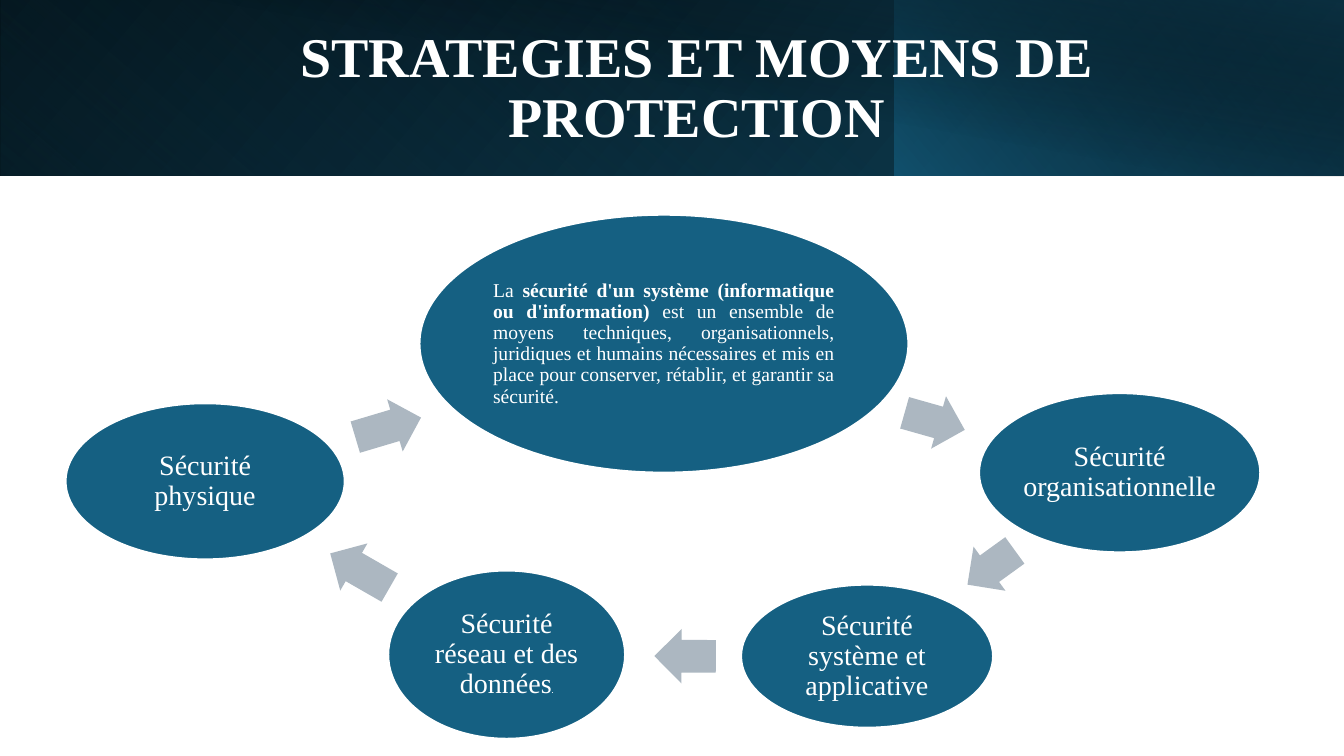
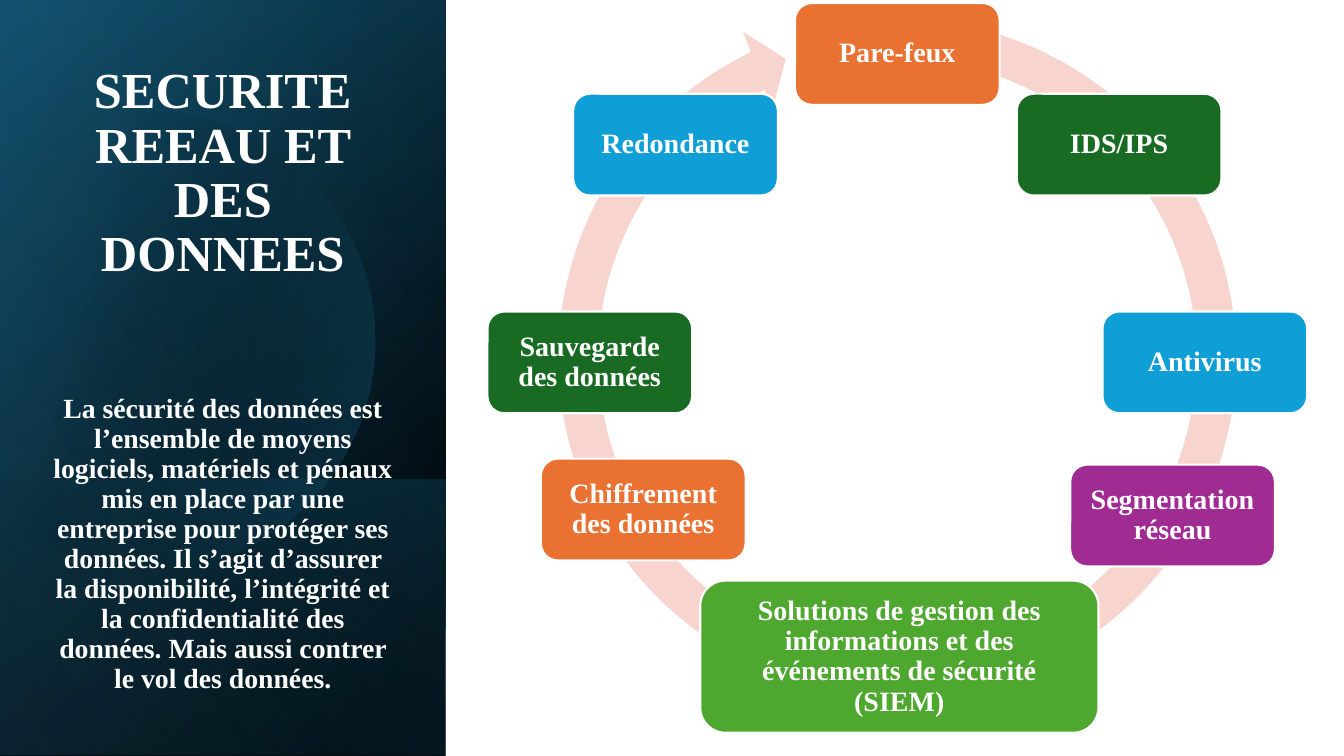
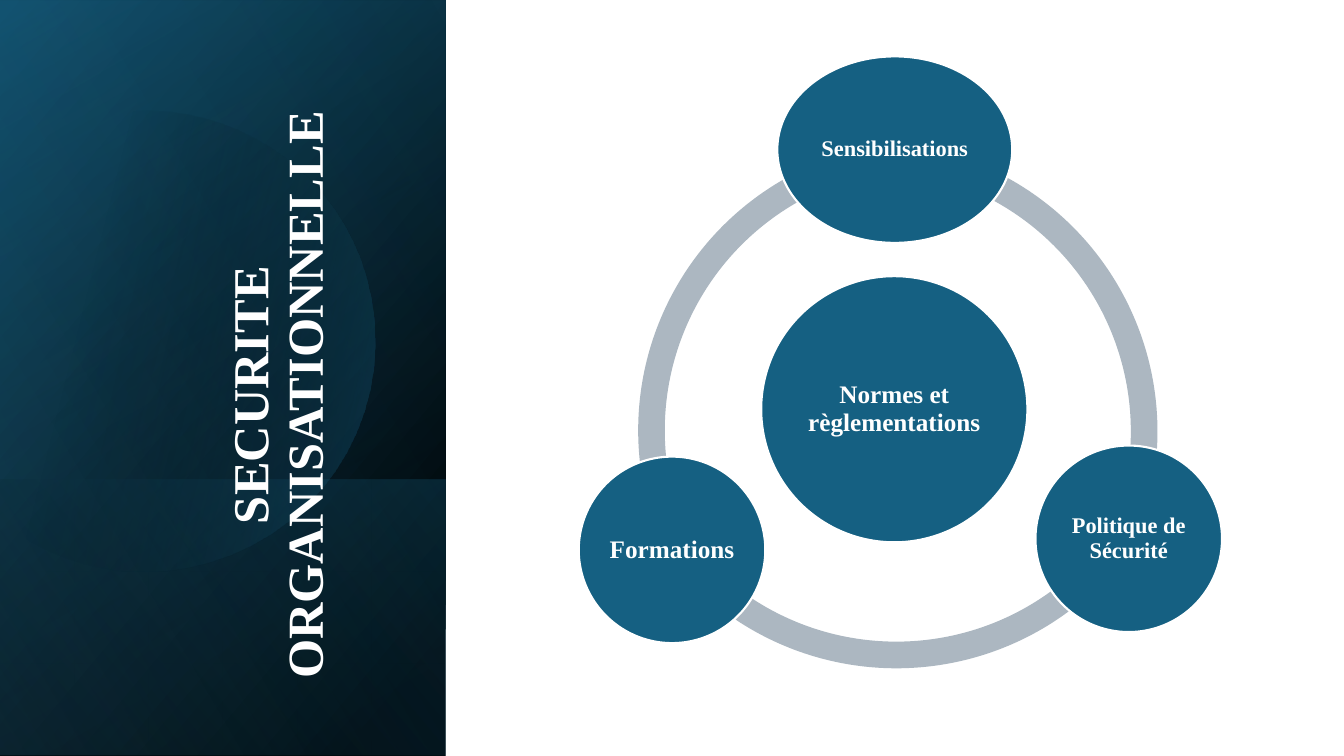
"""Build three slides on strategies for protecting information systems."""
from dataclasses import dataclass

from pptx import Presentation
from pptx.dml.color import RGBColor
from pptx.enum.shapes import MSO_SHAPE
from pptx.enum.text import MSO_ANCHOR, MSO_AUTO_SIZE, PP_ALIGN
from pptx.oxml import parse_xml
from pptx.oxml.ns import nsdecls, qn
from pptx.util import Inches, Pt


@dataclass(frozen=True)
class Theme:
    font: str = "Times New Roman"
    accent_font: str = "Karla"
    white: str = "FFFFFF"
    black: str = "000000"
    navy: str = "104862"
    deep: str = "0B3041"
    blue: str = "156082"
    sky: str = "46B1E1"
    grey: str = "ACB7C1"
    blush: str = "F7D5CE"
    orange: str = "E97132"
    green: str = "196B24"
    cyan: str = "0F9ED5"
    purple: str = "A02B93"
    lime: str = "4EA72E"
    title: float = 40
    side_title: float = 36
    body: float = 19.8
    label: float = 20
    medium: float = 18
    small: float = 16
    note: float = 14
    dot: float = 5
    outline: float = 1.5
    line_spacing: float = 0.9


T = Theme()

TOP_BANDS = [
    ((0, 0, 13.33, 1.74), 0, True, 140, [(0, T.black, 100), (100, T.navy, 100)]),
    ((0, 0, 8.88, 1.74), 180, True, 230, [(20, T.blue, 0), (100, T.deep, 55)]),
    ((8.87, 0, 4.46, 1.74), 0, True, 220, [(0, T.blue, 66), (100, T.black, 30)]),
    ((0.5, 0, 12.83, 1.75), 0, False, 280, [(50, T.black, 0), (99, T.deep, 52)]),
]
SIDE_BANDS = [
    ((-1.54, 1.54, 7.5, 4.42), 90, True, 50, [(8, T.black, 100), (100, T.navy, 100)]),
    ((-1.54, 1.55, 7.5, 4.42), 90, True, 30, [(0, T.black, 0), (99, T.blue, 46)]),
    ((0.84, 3.92, 2.74, 4.42), 90, True, 130, [(2, T.blue, 29), (100, T.black, 30)]),
]
SIDE_GLOSS = ((-1.54, 1.53, 7.5, 4.42), 90, True, 120, [(0, T.black, 0), (99, T.sky, 11)])
DISC_START = (1.49, 1.1)
DISC_CURVES = [
    [(2.46, 1.12), (3.35, 1.77), (3.63, 2.75)],
    [(3.98, 3.97), (3.28, 5.23), (2.07, 5.58)],
    [(1.31, 5.8), (0.53, 5.61), (-0.03, 5.14)],
    [(-0.15, 5.03)],
    [(-0.15, 1.75)],
    [(0, 1.61)],
    [(0.23, 1.42), (0.5, 1.28), (0.8, 1.19)],
    [(1.03, 1.13), (1.26, 1.1), (1.49, 1.1)],
]
DISC_STOPS = [(29, T.black, 0), (100, T.blue, 43)]
DISC_ANGLE = 14

DEFINITION = [
    ("La ", {}),
    ("sécurité d'un système (informatique ou d'information)", {"bold": True}),
    (" est un ensemble de moyens techniques, organisationnels, juridiques et humains "
     "nécessaires et mis en place pour conserver, rétablir, et garantir sa sécurité.", {}),
]
NETWORK = [
    ("Sécurité réseau et des données", {}),
    (".", {"size": Pt(T.dot), "name": T.accent_font, "bold": True}),
]
STRATEGIES = [
    ((9.71, 3.9, 2.79, 1.58), [("Sécurité organisationnelle", {})]),
    ((7.35, 5.8, 2.5, 1.42), [("Sécurité système et applicative", {})]),
    ((3.85, 5.66, 2.35, 1.67), NETWORK),
    ((0.65, 4, 2.77, 1.55), [("Sécurité physique", {})]),
]
ARROWS = [
    ((8.96, 3.91, 0.62, 0.54), 15.8),
    ((9.54, 5.36, 0.58, 0.54), 144.1),
    ((6.49, 6.24, 0.61, 0.54), 180.3),
    ((3.23, 5.39, 0.68, 0.54), 209.9),
    ((3.51, 3.97, 0.68, 0.54), 343.4),
]

DATA_SUMMARY = (
    "La sécurité des données est l’ensemble de moyens logiciels, matériels et pénaux mis en "
    "place par une entreprise pour protéger ses données. Il s’agit d’assurer la disponibilité, "
    "l’intégrité et la confidentialité des données. Mais aussi contrer le vol des données.")
CYCLE_CENTRE = 8.9
BOX = (2.03, 1.01)
WIDE_BOX = (3.95, 1.51)
MEASURES = [
    ("Pare-feux", 0, 0.03, BOX, T.orange),
    ("IDS/IPS", 2.2, 0.93, BOX, T.green),
    ("Antivirus", 3.05, 3.09, BOX, T.cyan),
    ("Segmentation réseau", 2.73, 4.61, BOX, T.purple),
    ("Solutions de gestion des informations et des événements de sécurité (SIEM)",
     0.02, 5.76, WIDE_BOX, T.lime),
    ("Chiffrement des données", -2.52, 4.55, BOX, T.orange),
    ("Sauvegarde des données", -3.05, 3.09, BOX, T.green),
    ("Redondance", -2.2, 0.93, BOX, T.cyan),
]
CYCLE_ADJ = (0.055, 3.307, 146.425, 168.781, 0.058)

ARCS = [
    ((6.33, 1.4, 5.74, 5.74), (92.911, 157.969, 0.046)),
    ((6.02, 0.89, 5.74, 5.74), (20.821, 85.518, 0.046)),
    ((5.74, 1.41, 5.74, 5.74), (165.302, 13.537, 0.046)),
]
ORGANISATION = [
    ("Normes et règlementations", (7.55, 2.74, 2.64, 2.64), T.medium),
    ("Sensibilisations", (7.71, 0.56, 2.33, 1.85), T.small),
    ("Politique de Sécurité", (10.27, 4.42, 1.85, 1.85), T.small),
    ("Formations", (5.74, 4.53, 1.85, 1.85), T.medium),
]


def style(p, size, bold=False, align=PP_ALIGN.CENTER):
    p.alignment = align
    p.line_spacing = T.line_spacing
    p.font.name = T.font
    p.font.size = Pt(size)
    p.font.bold = bold
    p.font.color.rgb = RGBColor.from_string(T.white)


def add_plain(s, kind, at, color, rotation=0, adj=()):
    sp = s.shapes.add_shape(kind, *map(Inches, at))
    sp.shadow.inherit = False
    sp.rotation = rotation
    sp.fill.solid()
    sp.fill.fore_color.rgb = RGBColor.from_string(color)
    sp.line.fill.background()
    for i, value in enumerate(adj):
        sp.adjustments[i] = value
    return sp


def add_label(s, kind, at, color, runs, size, bold=False, align=PP_ALIGN.CENTER, inset=0.03):
    sp = add_plain(s, kind, at, color)
    sp.line.color.rgb = RGBColor.from_string(T.white)
    sp.line.width = Pt(T.outline)
    tf = sp.text_frame
    tf.word_wrap = True
    tf.vertical_anchor = MSO_ANCHOR.MIDDLE
    tf.margin_left = tf.margin_right = tf.margin_top = tf.margin_bottom = Inches(inset)
    p = tf.paragraphs[0]
    style(p, size, bold, align)
    for text, changes in runs:
        r = p.add_run()
        r.text = text
        for name, value in changes.items():
            setattr(r.font, name, value)


def set_gradient(sp, angle, stops):
    sp.fill.solid()
    gs = "".join(
        f'<a:gs pos="{pos * 1000}"><a:srgbClr val="{color}">'
        f'<a:alpha val="{alpha * 1000}"/></a:srgbClr></a:gs>' for pos, color, alpha in stops)
    props = sp.element.spPr
    props.replace(props.find(qn("a:solidFill")), parse_xml(
        f'<a:gradFill {nsdecls("a")} rotWithShape="1"><a:gsLst>{gs}</a:gsLst>'
        f'<a:lin ang="{angle * 60000}" scaled="0"/></a:gradFill>'))


def add_band(s, at, rotation, flip, angle, stops):
    sp = add_plain(s, MSO_SHAPE.RECTANGLE, at, T.navy, rotation)
    if flip:
        sp.element.spPr.find(qn("a:xfrm")).set("flipH", "1")
    set_gradient(sp, angle, stops)


def disc_points(steps=16):
    points = [DISC_START]
    for curve in DISC_CURVES:
        if len(curve) == 1:
            points += curve
            continue
        nodes = [points[-1], *curve]
        for i in range(1, steps + 1):
            t = i / steps
            weights = ((1 - t) ** 3, 3 * t * (1 - t) ** 2, 3 * t * t * (1 - t), t ** 3)
            points.append(tuple(sum(w * n[k] for w, n in zip(weights, nodes)) for k in (0, 1)))
    return [(Inches(x), Inches(y)) for x, y in points]


def add_side_panel(s):
    for band in SIDE_BANDS:
        add_band(s, *band)
    start, *rest = disc_points()
    builder = s.shapes.build_freeform(*start)
    builder.add_line_segments(rest, close=True)
    disc = builder.convert_to_shape()
    disc.shadow.inherit = False
    disc.line.fill.background()
    set_gradient(disc, DISC_ANGLE, DISC_STOPS)
    add_band(s, *SIDE_GLOSS)


def place_title(s, at, paragraphs, anchor, rotation=0):
    title = s.shapes.title
    s.shapes.element.append(title.element)
    title.left, title.top, title.width, title.height = map(Inches, at)
    title.rotation = rotation
    tf = title.text_frame
    tf.word_wrap = True
    tf.auto_size = MSO_AUTO_SIZE.NONE
    tf.vertical_anchor = anchor
    for i, (text, size, gap) in enumerate(paragraphs):
        p = tf.add_paragraph() if i else tf.paragraphs[0]
        p.text = text
        style(p, size, True)
        p.space_before = Pt(gap)


def strategies_slide(s):
    for band in TOP_BANDS:
        add_band(s, *band)
    place_title(s, (1.5, 0.32, 10.82, 1.13),
                [("STRATEGIES ET MOYENS DE PROTECTION", T.title, 0)], MSO_ANCHOR.MIDDLE)
    add_label(s, MSO_SHAPE.OVAL, (4.16, 2.13, 4.85, 2.56), T.blue, DEFINITION, T.note,
              align=PP_ALIGN.JUSTIFY, inset=0.02)
    for at, runs in STRATEGIES:
        add_label(s, MSO_SHAPE.OVAL, at, T.blue, runs, T.label)
    for at, rotation in ARROWS:
        add_plain(s, MSO_SHAPE.RIGHT_ARROW, at, T.grey, rotation, (0.6, 0.5))


def network_slide(s):
    add_side_panel(s)
    place_title(s, (0.42, 0.57, 3.58, 6.37),
                [("SECURITE REEAU ET DES DONNEES", T.side_title, 0),
                 (DATA_SUMMARY, T.body, 80)], MSO_ANCHOR.BOTTOM)
    add_plain(s, MSO_SHAPE.CIRCULAR_ARROW, (5.32, -0.03, 7.16, 7.16), T.blush, adj=CYCLE_ADJ)
    for text, offset, top, (width, height), color in MEASURES:
        at = (CYCLE_CENTRE + offset - width / 2, top, width, height)
        add_label(s, MSO_SHAPE.ROUNDED_RECTANGLE, at, color, [(text, {})], T.label, True,
                  inset=0.08)


def organisation_slide(s):
    add_side_panel(s)
    place_title(s, (-1, 2.73, 6.34, 2.38),
                [("SECURITE ORGANISATIONNELLE", T.side_title, 0)], MSO_ANCHOR.BOTTOM, 270)
    for at, adj in ARCS:
        add_plain(s, MSO_SHAPE.BLOCK_ARC, at, T.grey, adj=adj)
    for text, at, size in ORGANISATION:
        add_label(s, MSO_SHAPE.OVAL, at, T.blue, [(text, {})], size, True)


def main():
    prs = Presentation()
    prs.slide_width, prs.slide_height = Inches(13.33), Inches(7.5)
    for build in (strategies_slide, network_slide, organisation_slide):
        build(prs.slides.add_slide(prs.slide_layouts[5]))
    prs.save("out.pptx")


if __name__ == "__main__":
    main()
